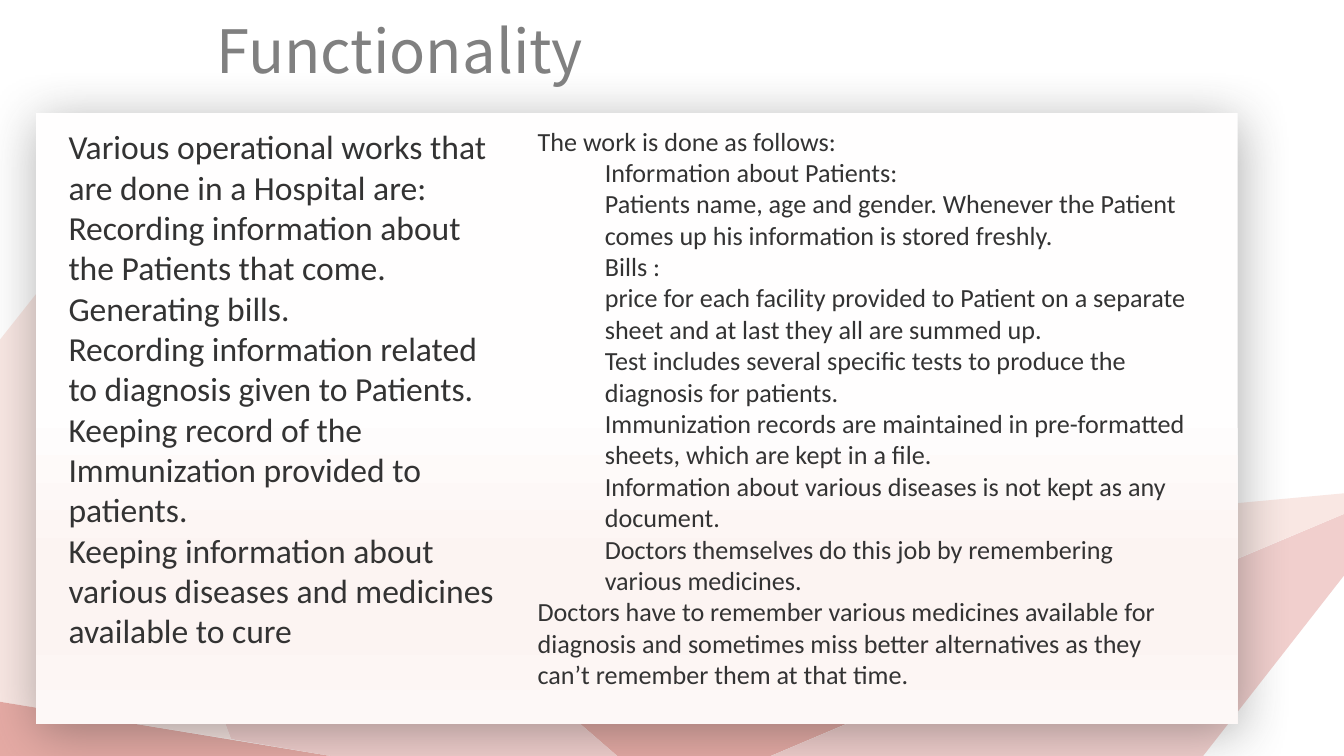
from dataclasses import dataclass

from lxml import etree
from pptx import Presentation
from pptx.dml.color import RGBColor
from pptx.enum import shapes, text
from pptx.oxml import parse_xml
from pptx.oxml.ns import nsdecls, qn
from pptx.util import Inches, Pt

COLORS = {
    "rose": "E5AAA4", "pink": "F1CFCD", "blush": "F9E7E3",
    "title": "808080", "body": "333333", "shadow": "333333",
}
PANEL_STOPS = [(47, "FFFEFE"), (74, "FCF4F2"), (83, "FCF4F2"), (100, "FDF8F7")]
SLIDE_WIDTH = Inches(10)
SLIDE_HEIGHT = SLIDE_WIDTH * 9 // 16


@dataclass
class Facet:
    color: str
    points: list[tuple[float, float]]


@dataclass
class Block:
    """Text of one placeholder; lines are (level, wording) pairs."""
    idx: int
    box: tuple[float, float, float, float]
    font: str
    size: int
    color: str
    lines: list[tuple[int, str]]
    side_inset: float = 0.1
    align: text.PP_ALIGN = text.PP_ALIGN.LEFT


FACETS = [
    Facet("rose", [(5.7, 5.64), (7.75, 4.77), (7.64, 4.01), (3.32, 4.52), (4.61, 5.64)]),
    Facet("pink", [(0.41, 2.01), (1.72, 5.5), (2.55, 5.64), (4.61, 5.64)]),
    Facet("blush", [(0.41, 2.01), (-0.01, 2.54), (-0.01, 5.22), (1.72, 5.5)]),
    Facet("rose", [(-0.01, 5.22), (-0.01, 5.64), (2.55, 5.64)]),
    Facet("pink", [(5.7, 5.64), (8.94, 5.64), (10.01, 4.27), (10.01, 3.82)]),
    Facet("blush", [(7.62, 3.89), (7.75, 4.77), (10.01, 3.82), (10.01, 3.67)]),
]

BLOCKS = [
    Block(0, (1.61, 0.05, 6.46, 0.64), "Noto Sans CJK SC", 32, "title",
          [(0, "Functionality")], 0, text.PP_ALIGN.JUSTIFY),
    Block(1, (0.41, 0.89, 3.4, 4.04), "Calibri", 18, "body", [
        (0, "Various operational works that are done in a Hospital are:"),
        (0, "Recording information about the Patients that come."),
        (0, "Generating bills."),
        (0, "Recording information related to diagnosis given to Patients."),
        (0, "Keeping record of the Immunization provided to patients."),
        (0, "Keeping information about various diseases and medicines available to cure"),
    ]),
    Block(2, (3.9, 0.88, 5.04, 4.34), "Calibri", 14, "body", [
        (0, "The work is done as follows:"),
        (1, "Information about Patients:"),
        (1, "Patients name, age and gender. Whenever the Patient comes up "
            "his information is stored freshly."),
        (1, "Bills :"),
        (1, "price for each facility provided to Patient on a separate sheet "
            "and at last they all are summed up."),
        (1, "Test includes several specific tests to produce the diagnosis for patients."),
        (1, "Immunization records are maintained in pre-formatted sheets, "
            "which are kept in a file."),
        (1, "Information about various diseases is not kept as any document."),
        (1, "Doctors themselves do this job by remembering various medicines."),
        (0, "Doctors have to remember various medicines available for diagnosis "
            "and sometimes miss better alternatives as they can’t remember them "
            "at that time."),
    ]),
]


def set_all(obj, values: dict) -> None:
    for name, value in values.items():
        setattr(obj, name, value)


def place(sp, box: tuple[float, float, float, float]) -> None:
    set_all(sp, dict(zip(("left", "top", "width", "height"), map(Inches, box))))


def draw_facet(slide, facet: Facet) -> None:
    start, *rest = [(Inches(x), Inches(y)) for x, y in facet.points]
    builder = slide.shapes.build_freeform(*start)
    builder.add_line_segments(rest, close=True)
    sp = builder.convert_to_shape()
    sp.shadow.inherit = False
    sp.fill.solid()
    sp.fill.fore_color.rgb = RGBColor.from_string(COLORS[facet.color])
    sp.line.fill.background()


def draw_panel(slide) -> None:
    """Draw the text panel with its vertical gradient and soft shadow."""
    sp = slide.shapes.add_shape(shapes.MSO_SHAPE.RECTANGLE, 0, 0, 0, 0)
    place(sp, (0.27, 0.84, 8.94, 4.55))
    sp.line.fill.background()
    stops = "".join(f'<a:gs pos="{pos * 1000}"><a:srgbClr val="{color}"/></a:gs>'
                    for pos, color in PANEL_STOPS)
    gradient = parse_xml(f'<a:gradFill {nsdecls("a")} rotWithShape="1"><a:gsLst>{stops}'
                         '</a:gsLst><a:lin ang="5400000" scaled="0"/></a:gradFill>')
    shadow = parse_xml(
        f'<a:effectLst {nsdecls("a")}><a:outerShdw blurRad="{Pt(29)}" dist="{Pt(5)}" '
        f'dir="{77 * 60000}" algn="t" rotWithShape="0"><a:srgbClr val="{COLORS["shadow"]}">'
        '<a:alpha val="40000"/></a:srgbClr></a:outerShdw></a:effectLst>')
    props = sp.element.spPr
    props.find(qn("a:prstGeom")).addnext(gradient)
    props.append(shadow)


def fill_block(slide, block: Block) -> None:
    sp = slide.placeholders[block.idx]
    slide.shapes.element.append(sp.element)  # bring in front of the panel
    place(sp, block.box)
    tf = sp.text_frame
    inset = Inches(block.side_inset)
    set_all(tf, {
        "margin_left": inset, "margin_right": inset,
        "margin_top": Inches(0.05), "margin_bottom": Inches(0.05),
        "word_wrap": True, "auto_size": text.MSO_AUTO_SIZE.NONE,
        "vertical_anchor": text.MSO_ANCHOR.TOP,
    })
    for i, (level, wording) in enumerate(block.lines):
        p = tf.add_paragraph() if i else tf.paragraphs[0]
        set_all(p, {"level": level, "alignment": block.align, "line_spacing": 1.0,
                    "space_before": Pt(0), "space_after": Pt(0)})
        props = p._p.get_or_add_pPr()
        props.set("marL", str(Inches(0.5 * level)))
        props.set("indent", "0")
        etree.SubElement(props, qn("a:buNone"))
        r = p.add_run()
        r.text = wording
        set_all(r.font, {"name": block.font, "size": Pt(block.size)})
        r.font.color.rgb = RGBColor.from_string(COLORS[block.color])


def main() -> None:
    prs = Presentation()
    set_all(prs, {"slide_width": SLIDE_WIDTH, "slide_height": SLIDE_HEIGHT})
    slide = prs.slides.add_slide(prs.slide_layouts.get_by_name("Two Content"))
    for facet in FACETS:
        draw_facet(slide, facet)
    draw_panel(slide)
    for block in BLOCKS:
        fill_block(slide, block)
    prs.save("out.pptx")


if __name__ == "__main__":
    main()
